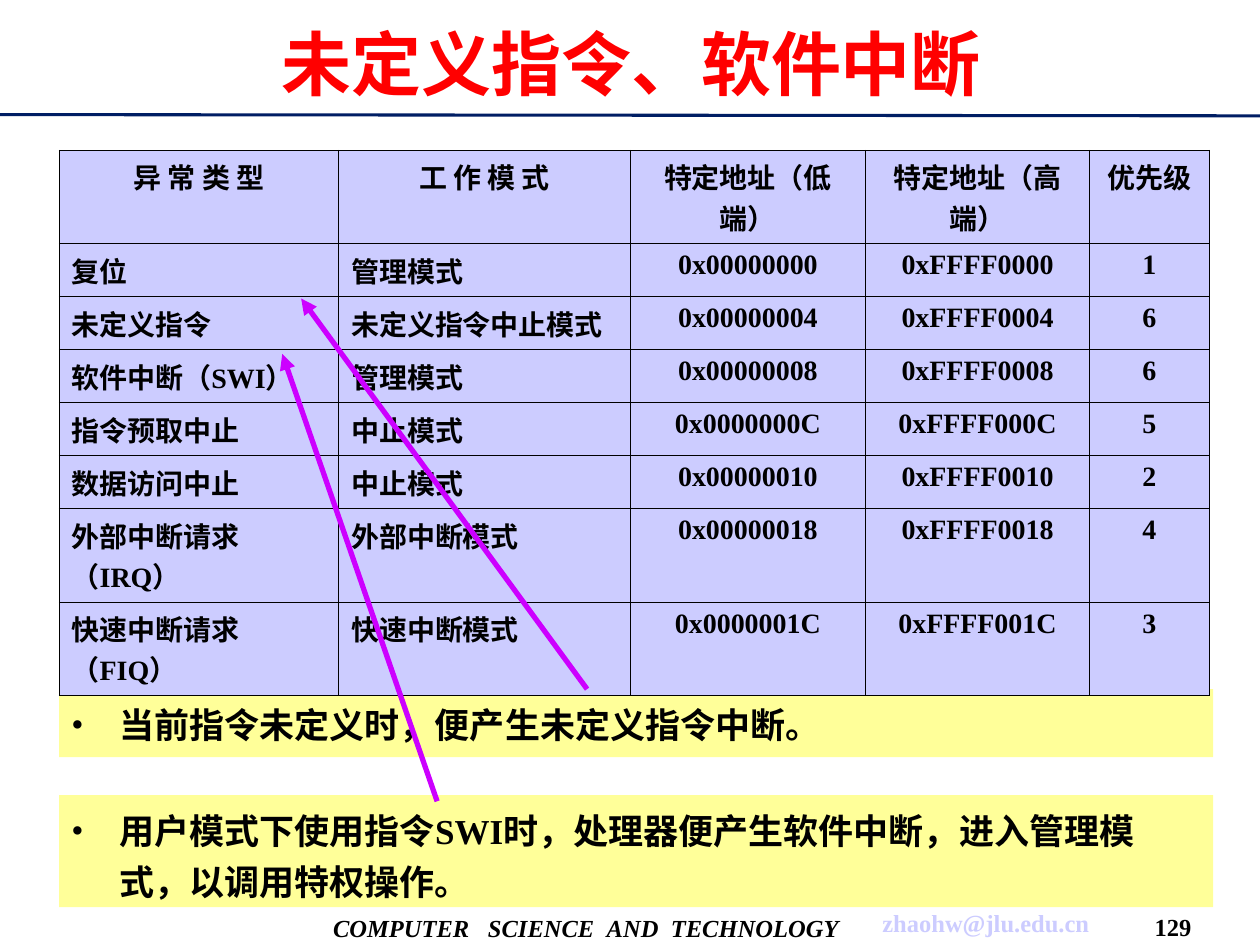
from dataclasses import dataclass

from lxml.etree import SubElement
from pptx import Presentation
from pptx.dml.color import RGBColor
from pptx.enum.shapes import MSO_CONNECTOR, MSO_SHAPE
from pptx.enum.text import MSO_ANCHOR, PP_ALIGN
from pptx.oxml.ns import qn
from pptx.util import Pt


@dataclass(frozen=True)
class Theme:
    black: str = "000000"
    title: str = "FF0000"
    rule: str = "001E64"
    cell: str = "CCCCFF"
    note: str = "FFFF99"
    arrow: str = "CC00FF"
    serif: str = "Times New Roman"
    sans: str = "Arial"
    title_size: float = 40
    note_size: float = 20
    table_size: float = 16
    footer_size: float = 14


THEME = Theme()

HEADER = ["异 常 类 型", "工 作 模 式", "特定地址（低端）", "特定地址（高端）", "优先级"]
EXCEPTIONS = [
    ("复位", "管理模式", "00", 1),
    ("未定义指令", "未定义指令中止模式", "04", 6),
    ("软件中断（SWI）", "管理模式", "08", 6),
    ("指令预取中止", "中止模式", "0C", 5),
    ("数据访问中止", "中止模式", "10", 2),
    ("外部中断请求（IRQ）", "外部中断模式", "18", 4),
    ("快速中断请求（FIQ）", "快速中断模式", "1C", 3),
]
COLUMN_WIDTHS = [159.8, 166.5, 134.6, 127.9, 68.6]
TALL_ROW, SHORT_ROW = 53.4, 30.3
TALL_ROWS = {0, 6, 7}
NOTE_INDENT = 27.4


def add_span(para, text, size, color=THEME.black, font=THEME.serif, italic=False):
    span = para.add_run()
    span.text = text
    span.font.size = Pt(size)
    span.font.name = font
    span.font.bold = True
    span.font.italic = italic
    span.font.color.rgb = RGBColor.from_string(color)
    return span


def add_label(page, left, top, width, height):
    """Add a centred one-line text box and return its paragraph."""
    box = page.shapes.add_textbox(Pt(left), Pt(top), Pt(width), Pt(height))
    frame = box.text_frame
    frame.word_wrap = True
    frame.margin_left = frame.margin_right = 0
    frame.vertical_anchor = MSO_ANCHOR.MIDDLE
    para = frame.paragraphs[0]
    para.alignment = PP_ALIGN.CENTER
    return para


def add_spaced_words(para, words, gaps):
    """Join words with single spaces, each widened by its gap in points."""
    for word, gap in zip(words, gaps):
        add_span(para, word, THEME.footer_size, italic=True)
        if gap:
            space = add_span(para, " ", THEME.footer_size, italic=True)
            space.font._element.set("spc", str(int(gap * 100)))


def add_line(page, start, end, color, width, arrow=False):
    line = page.shapes.add_connector(
        MSO_CONNECTOR.STRAIGHT, *(Pt(value) for value in (*start, *end)))
    line.line.color.rgb = RGBColor.from_string(color)
    line.line.width = Pt(width)
    if arrow:
        SubElement(line.line._get_or_add_ln(), qn("a:tailEnd"), type="triangle")
    SubElement(line._element.spPr, qn("a:effectLst"))


def add_note(page, top, height, text):
    """Add a filled box with one bulleted paragraph."""
    box = page.shapes.add_shape(
        MSO_SHAPE.RECTANGLE, Pt(33.8), Pt(top), Pt(659.5), Pt(height))
    box.shadow.inherit = False
    box.fill.solid()
    box.fill.fore_color.rgb = RGBColor.from_string(THEME.note)
    box.line.fill.background()
    frame = box.text_frame
    frame.word_wrap = True
    frame.vertical_anchor = MSO_ANCHOR.TOP
    para = frame.paragraphs[0]
    para.alignment = PP_ALIGN.LEFT
    para.line_spacing = 1.2
    properties = para._p.get_or_add_pPr()
    properties.set("marL", str(Pt(NOTE_INDENT)))
    properties.set("indent", str(-Pt(NOTE_INDENT)))
    properties.set("hangingPunct", "0")
    bullet_color = SubElement(properties, qn("a:buClr"))
    SubElement(bullet_color, qn("a:srgbClr"), val=THEME.black)
    SubElement(properties, qn("a:buFont"), typeface=THEME.serif)
    SubElement(properties, qn("a:buChar"), char="•")
    add_span(para, text, THEME.note_size)


def style_cell(cell):
    properties = cell._tc.get_or_add_tcPr()
    for side in ("lnL", "lnR", "lnT", "lnB"):
        border = SubElement(properties, qn(f"a:{side}"), w=str(Pt(0.45)))
        paint = SubElement(border, qn("a:solidFill"))
        SubElement(paint, qn("a:srgbClr"), val=THEME.black)
    cell.fill.solid()
    cell.fill.fore_color.rgb = RGBColor.from_string(THEME.cell)


def add_exception_table(page):
    rows = [HEADER] + [
        (kind, mode, f"0x000000{offset}", f"0xFFFF00{offset}", str(priority))
        for kind, mode, offset, priority in EXCEPTIONS]
    heights = [TALL_ROW if index in TALL_ROWS else SHORT_ROW
               for index in range(len(rows))]
    table = page.shapes.add_table(
        len(rows), len(HEADER), Pt(33.8), Pt(85.8),
        Pt(sum(COLUMN_WIDTHS)), Pt(sum(heights))).table
    table.first_row = table.horz_banding = False
    for column, width in zip(table.columns, COLUMN_WIDTHS):
        column.width = Pt(width)
    for row_index, texts in enumerate(rows):
        table.rows[row_index].height = Pt(heights[row_index])
        for column_index, text in enumerate(texts):
            cell = table.cell(row_index, column_index)
            style_cell(cell)
            para = cell.text_frame.paragraphs[0]
            is_header = row_index == 0
            centred = is_header or column_index > 1
            para.alignment = PP_ALIGN.CENTER if centred else PP_ALIGN.LEFT
            add_span(para, text, THEME.table_size,
                     font=THEME.sans if is_header else THEME.serif)


def main():
    deck = Presentation()
    deck.slide_width, deck.slide_height = Pt(720), Pt(540)
    page = deck.slides.add_slide(deck.slide_layouts[6])

    # Rule and footer
    add_line(page, (0, 65.5), (720, 66.2), THEME.rule, 1.75)
    add_spaced_words(add_label(page, 184.8, 514.8, 300, 30.2),
                     ["COMPUTER", "SCIENCE", "AND", "TECHNOLOGY"],
                     [7, 3.5, 3.5, 0])
    add_span(add_label(page, 498.2, 514.1, 130.3, 25.9),
             "zhaohw@jlu.edu.cn", THEME.footer_size, THEME.cell)
    add_span(add_label(page, 654.5, 518.2, 31.7, 22.3), "129", THEME.footer_size)

    # Title
    add_span(add_label(page, 23.4, 5.8, 674.6, 59.8),
             "未定义指令、软件中断", THEME.title_size, THEME.title)

    # Exception table, notes and the arrows between them
    add_note(page, 393.8, 38.9, "当前指令未定义时，便产生未定义指令中断。")
    add_exception_table(page)
    add_line(page, (335.5, 393.8), (172.1, 170.6), THEME.arrow, 3, arrow=True)
    add_note(page, 454.3, 64.1,
             "用户模式下使用指令SWI时，处理器便产生软件中断，进入管理模式，以调用特权操作。")
    add_line(page, (249.8, 457.9), (161.3, 202.3), THEME.arrow, 3, arrow=True)

    deck.save("out.pptx")


if __name__ == "__main__":
    main()
